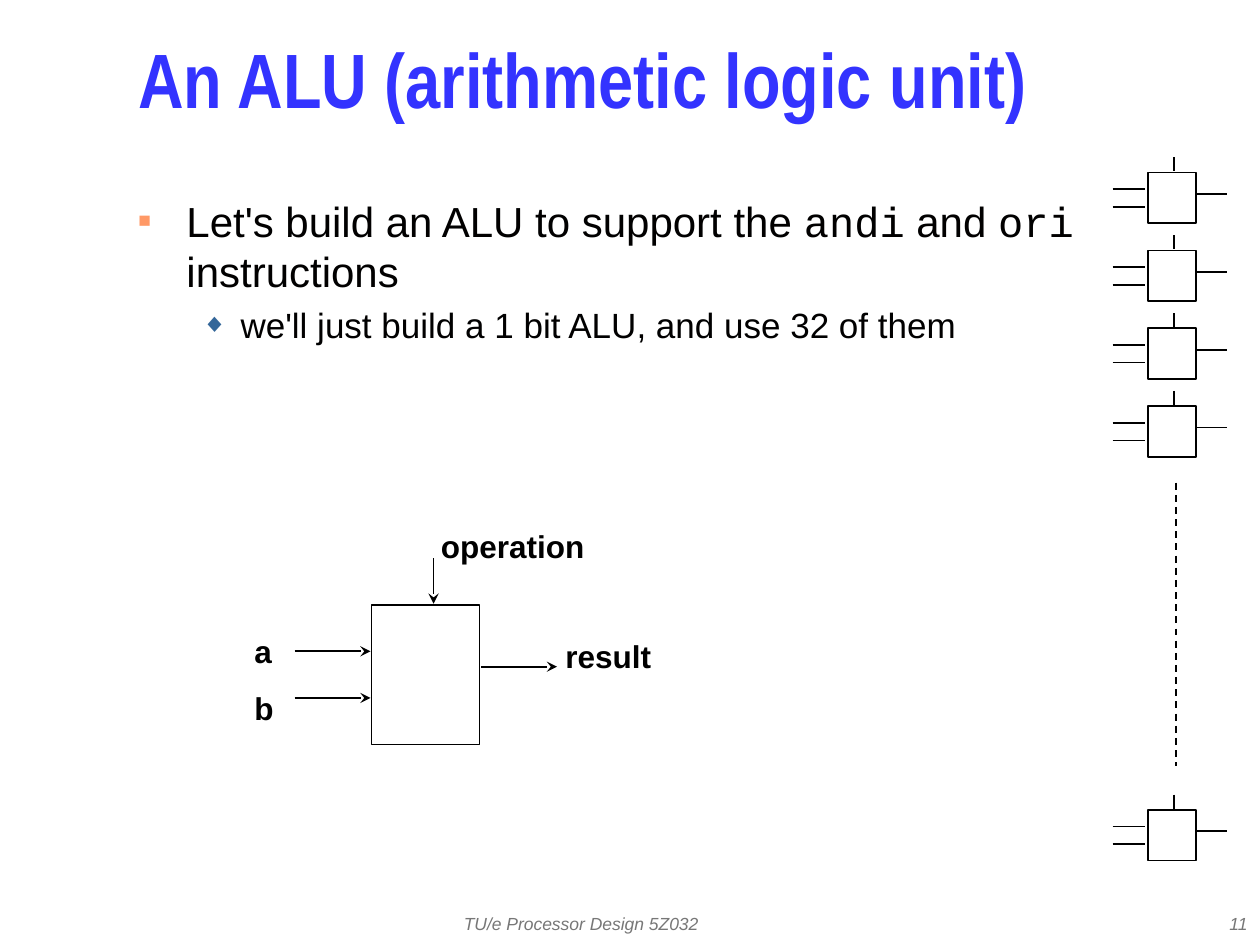
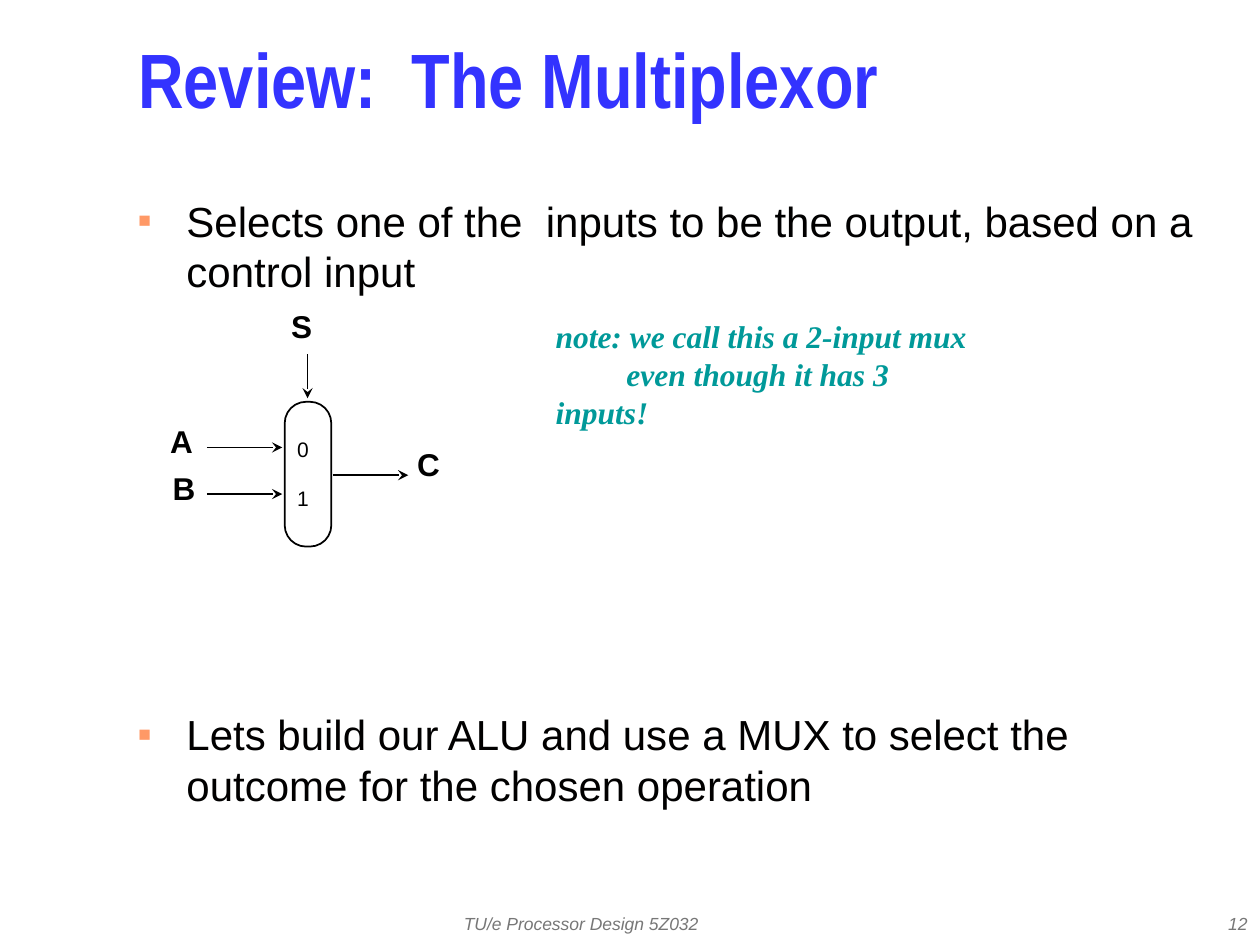
import pptx
import pptx.util
import pptx.dml.color
import pptx.enum.dml
import pptx.enum.shapes
import pptx.enum.text
from lxml import etree
from pptx.oxml.ns import qn

Cm, Pt = pptx.util.Cm, pptx.util.Pt
SHAPE = pptx.enum.shapes.MSO_SHAPE
ALIGN = pptx.enum.text.PP_ALIGN
MIDDLE = pptx.enum.text.MSO_ANCHOR.MIDDLE

COLORS = {"title": "3333FF", "body": "010000", "ink": "000000", "paper": "FFFFFF",
          "footer": "777777", "square": "FF9966", "diamond": "336699", "note": "009999"}
FOOTER = "TU/e Processor Design 5Z032"
INSET = (0.25, 0.13)
LABEL_INSET = (0.05, 0.08)

# Bullet levels: size, space before, margin, indent, character, colour, bullet percent
LEVELS = [(24, 4.8, 0.97, -0.97, "■", "square", 50),
          (20, 4, 2.06, -0.79, "◆", "diamond", 75)]

# Bullets: level, extra space before, runs as (text, font); "\n" breaks the line
ALU = {
    "title": "An ALU (arithmetic logic unit)", "number": "11",
    "bullets": [
        (0, 0, [("Let's build an ALU to support the ", "Arial"), ("andi", "Courier New"),
                (" and ", "Arial"), ("ori", "Courier New"), (" instructions", "Arial")]),
        (1, 0, [("we'll just build a 1 bit ALU, and use 32 of them", "Arial")])],
    "box": (SHAPE.RECTANGLE, 7.49, 12.19, 2.18, 2.82),
    "arrows": [(5.94, 13.13, 7.47, 13.13), (5.94, 14.07, 7.47, 14.07),
               (8.74, 11.25, 8.74, 12.17), (9.7, 13.44, 11.23, 13.44)],
    "labels": [("a", 5.08, 12.47), ("b", 5.08, 13.61),
               ("operation", 8.84, 10.36), ("result", 11.35, 12.57)],
}
MUX = {
    "title": "Review:  The Multiplexor", "number": "12",
    "bullets": [
        (0, 0, [("Selects one of the  inputs to be the output, based on a control input",
                 "Arial")]),
        (0, 231, [("Lets build our ALU and use a MUX to select the\n"
                   "outcome for the chosen operation", "Arial")])],
    "box": (SHAPE.ROUNDED_RECTANGLE, 5.74, 8.1, 0.94, 2.92),
    "arrows": [(4.17, 9.02, 5.69, 9.02), (4.17, 9.96, 5.69, 9.96),
               (6.2, 7.14, 6.2, 8.03), (6.71, 9.58, 8.23, 9.58)],
    "labels": [("A", 3.38, 8.23), ("B", 3.43, 9.19), ("S", 5.82, 5.92), ("C", 8.36, 8.71)],
}
MUX_INPUTS = [("0", 5.94, 8.74), ("1", 5.94, 9.73)]
NOTE = [("note: we call this a 2-input mux", 0), ("even though it has 3 inputs!", 1.43)]

SLICE_LEFT, SLICE_W, SLICE_H = 23.14, 0.97, 1.02
SLICE_TOPS = [3.48 + 1.57 * i for i in range(4)] + [16.33]
SLICE_WIRES = [(-0.71, 0.33, -0.05, 0.33), (-0.71, 0.69, -0.05, 0.69),
               (0.53, -0.31, 0.53, -0.03), (0.97, 0.43, 1.6, 0.43)]


def rgb(name):
    return pptx.dml.color.RGBColor.from_string(COLORS[name])


def add_box(s, x, y, w, h, inset=INSET, anchor=None):
    tf = s.shapes.add_textbox(Cm(x), Cm(y), Cm(w), Cm(h)).text_frame
    tf.word_wrap = True
    tf.margin_left = tf.margin_right = Cm(inset[0])
    tf.margin_top = tf.margin_bottom = Cm(inset[1])
    if anchor is not None:
        tf.vertical_anchor = anchor
    return tf


def add_run(p, text, size, color, font="Arial", bold=False, italic=False):
    for i, line in enumerate(text.split("\n")):
        if i:
            p.add_line_break()
        r = p.add_run()
        r.text = line
        r.font.name, r.font.size = font, Pt(size)
        r.font.bold, r.font.italic = bold, italic
        r.font.color.rgb = rgb(color)


def next_paragraph(tf, i):
    return tf.add_paragraph() if i else tf.paragraphs[0]


def set_bullet(p, level):
    _, _, margin, indent, char, color, percent = LEVELS[level]
    pPr = p._p.get_or_add_pPr()
    pPr.set("marL", str(Cm(margin)))
    pPr.set("indent", str(Cm(indent)))
    clr = etree.SubElement(pPr, qn("a:buClr"))
    etree.SubElement(clr, qn("a:srgbClr"), val=COLORS[color])
    etree.SubElement(pPr, qn("a:buSzPct"), val=str(percent * 1000))
    etree.SubElement(pPr, qn("a:buFont"), typeface="Arial")
    etree.SubElement(pPr, qn("a:buChar"), char=char)


def add_bullets(s, bullets):
    tf = add_box(s, 2.54, 3.81, 21.79, 13.13)
    for i, (level, gap, runs) in enumerate(bullets):
        size, before = LEVELS[level][:2]
        p = next_paragraph(tf, i)
        p.space_before = Pt(before + gap)
        set_bullet(p, level)
        for text, font in runs:
            add_run(p, text, size, "body", font)


def add_outline(s, kind, x, y, w, h):
    sp = s.shapes.add_shape(kind, Cm(x), Cm(y), Cm(w), Cm(h))
    sp.shadow.inherit = False
    sp.fill.solid()
    sp.fill.fore_color.rgb = rgb("paper")
    sp.line.color.rgb = rgb("ink")
    sp.line.width = Pt(1)
    return sp


def add_wire(s, x1, y1, x2, y2, arrow=False, dashed=False):
    c = s.shapes.add_connector(pptx.enum.shapes.MSO_CONNECTOR.STRAIGHT,
                               Cm(x1), Cm(y1), Cm(x2), Cm(y2))
    c.line.color.rgb = rgb("ink")
    c.line.width = Pt(1)
    if dashed:
        c.line.dash_style = pptx.enum.dml.MSO_LINE.DASH
    if arrow:
        etree.SubElement(c.line._get_or_add_ln(), qn("a:tailEnd"), type="stealth")
    etree.SubElement(c._element.spPr, qn("a:effectLst"))


def add_label(s, text, x, y):
    p = add_box(s, x, y, 5.72, 1.7, LABEL_INSET).paragraphs[0]
    p.line_spacing = Pt(27)
    p.space_before = p.space_after = Pt(6)
    add_run(p, text, 18, "ink", bold=True)


def add_slide(prs, content):
    """Add title, footer, bullets and block diagram; return slide and block."""
    s = prs.slides.add_slide(prs.slide_layouts[6])
    for text, x, w, align in [(FOOTER, 9.1, 8.05, ALIGN.LEFT),
                              (content["number"], 20.12, 5.28, ALIGN.RIGHT)]:
        p = add_box(s, x, 18.2, w, 0.85, anchor=MIDDLE).paragraphs[0]
        p.alignment = align
        add_run(p, text, 10, "footer", italic=True)
    p = add_box(s, 2.54, 0.42, 21.79, 2.75, anchor=MIDDLE).paragraphs[0]
    p.line_spacing = 0.7
    add_run(p, content["title"], 44, "title", "Arial Narrow", bold=True)
    add_bullets(s, content["bullets"])
    block = add_outline(s, *content["box"])
    for arrow in content["arrows"]:
        add_wire(s, *arrow, arrow=True)
    for label in content["labels"]:
        add_label(s, *label)
    return s, block


def add_alu_slide(prs):
    s, _ = add_slide(prs, ALU)
    for top in SLICE_TOPS:
        add_outline(s, SHAPE.RECTANGLE, SLICE_LEFT, top, SLICE_W, SLICE_H)
        for x1, y1, x2, y2 in SLICE_WIRES:
            add_wire(s, SLICE_LEFT + x1, top + y1, SLICE_LEFT + x2, top + y2)
    add_wire(s, 23.7, 9.73, 23.7, 15.44, dashed=True)


def add_mux_slide(prs):
    s, block = add_slide(prs, MUX)
    block.adjustments[0] = 0.46
    for text, x, y in MUX_INPUTS:
        p = add_box(s, x, y, 1.4, 0.84, LABEL_INSET).paragraphs[0]
        p.line_spacing = Pt(14)
        add_run(p, text, 12, "ink")
    tf = add_box(s, 10.95, 6.27, 9.02, 1.78)
    for i, (text, indent) in enumerate(NOTE):
        p = next_paragraph(tf, i)
        p._p.get_or_add_pPr().set("indent", str(Cm(indent)))
        add_run(p, text, 18, "note", "Times New Roman", bold=True, italic=True)


def main():
    prs = pptx.Presentation()
    prs.slide_width, prs.slide_height = Cm(25.4), Cm(19.05)
    add_alu_slide(prs)
    add_mux_slide(prs)
    prs.save("out.pptx")


if __name__ == "__main__":
    main()
